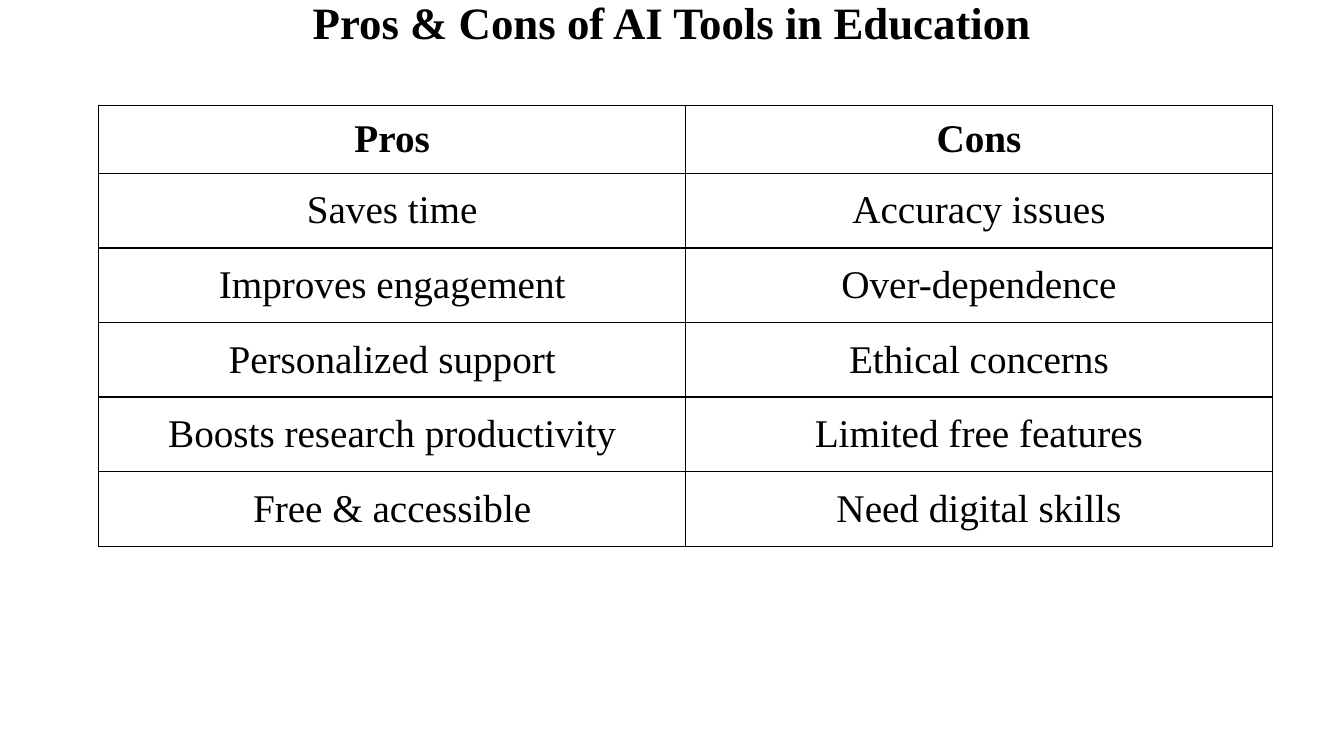
from dataclasses import dataclass

from lxml import etree
from pptx import Presentation
from pptx import util as u
from pptx.dml.color import RGBColor
from pptx.enum import text
from pptx.oxml.ns import qn

FONT = "Times New Roman"
BLACK = "000000"
SLIDE_W, SLIDE_H = u.Inches(13.33), u.Inches(7.5)
COL_W = u.Inches(5.82)
HEAD_H, ROW_H = u.Inches(0.67), u.Inches(0.74)


@dataclass
class Comparison:
    pro: str
    con: str
    bold: bool = False


COMPARISONS = [
    Comparison("Pros", "Cons", bold=True),
    Comparison("Saves time", "Accuracy issues"),
    Comparison("Improves engagement", "Over-dependence"),
    Comparison("Personalized support", "Ethical concerns"),
    Comparison("Boosts research productivity", "Limited free features"),
    Comparison("Free & accessible", "Need digital skills"),
]


def color(hex_value: str) -> RGBColor:
    return RGBColor.from_string(hex_value)


def write(tf, words: str, size: int, bold: bool):
    """Fill a text frame with one centred paragraph and return it."""
    p = tf.paragraphs[0]
    p.text = words
    p.alignment = text.PP_ALIGN.CENTER
    p.font.name = FONT
    p.font.size = u.Pt(size)
    p.font.bold = bold
    p.font.color.rgb = color(BLACK)
    return p


def add_borders(cell, hex_value: str, width: float) -> None:
    """Draw all four sides; border elements precede the cell's fill."""
    tc_pr = cell._tc.get_or_add_tcPr()
    for i, side in enumerate(("a:lnL", "a:lnR", "a:lnT", "a:lnB")):
        ln = etree.Element(qn(side), w=str(u.Pt(width)))
        fill = etree.SubElement(ln, qn("a:solidFill"))
        etree.SubElement(fill, qn("a:srgbClr"), val=hex_value)
        tc_pr.insert(i, ln)


def add_title(slide, words: str) -> None:
    box = slide.shapes.add_textbox(0, 0, SLIDE_W, u.Inches(0.55))
    box.text_frame.word_wrap = True
    write(box.text_frame, words, 32, True).line_spacing = 0.8


def add_comparison_table(slide, comparisons: list[Comparison]) -> None:
    height = HEAD_H + ROW_H * (len(comparisons) - 1)
    table = slide.shapes.add_table(
        len(comparisons), 2, int(SLIDE_W * 0.0735), int(SLIDE_H * 0.14),
        COL_W * 2, height).table
    table.first_row = table.horz_banding = False
    for column in table.columns:
        column.width = COL_W
    for i, (row, item) in enumerate(zip(table.rows, comparisons)):
        row.height = ROW_H if i else HEAD_H
        for cell, words in zip(row.cells, (item.pro, item.con)):
            cell.fill.background()
            cell.vertical_anchor = text.MSO_ANCHOR.MIDDLE
            write(cell.text_frame, words, 28, item.bold)
            add_borders(cell, BLACK, 1)


def main() -> None:
    prs = Presentation()
    prs.slide_width, prs.slide_height = SLIDE_W, SLIDE_H
    slide = prs.slides.add_slide(prs.slide_layouts[6])

    # Heading and table
    add_title(slide, "Pros & Cons of AI Tools in Education")
    add_comparison_table(slide, COMPARISONS)

    prs.save("out.pptx")


if __name__ == "__main__":
    main()
